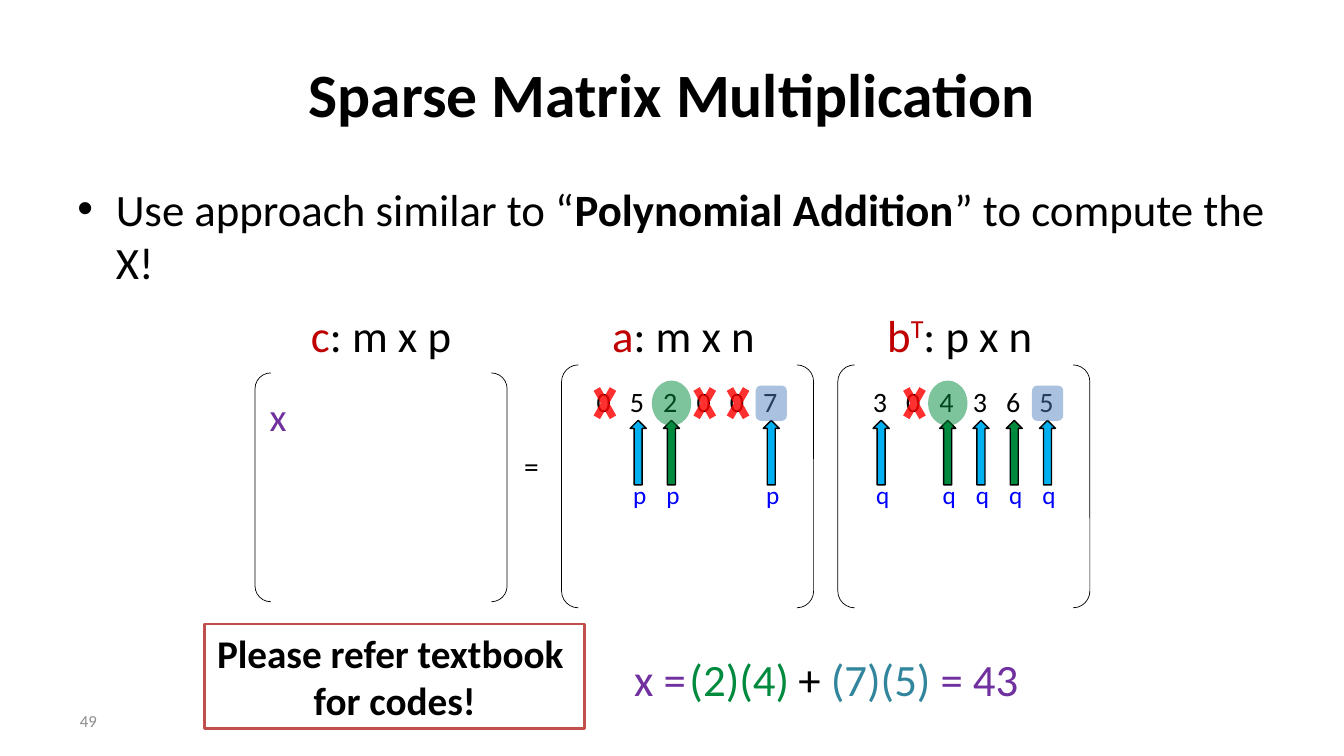
from lxml.etree import SubElement
from pptx import Presentation
from pptx.dml.color import RGBColor
from pptx.enum.shapes import MSO_SHAPE
from pptx.enum.text import MSO_ANCHOR, PP_ALIGN
from pptx.oxml.ns import qn
from pptx.util import Inches, Pt

THEME = {
    "font": "Calibri",
    "black": "000000", "white": "FFFFFF", "grey": "8C8C8C",
    "name": "C00000", "result": "7030A0", "first": "008A3E", "second": "31859C",
    "cross": "FF0000", "tile": "4F81BD", "arrow": "00B0F0", "index": "0000FF",
    "frame": "C0504D",
    "title": 44, "body": 32, "note": 28, "digit": 20, "equals": 21,
    "label": 18, "number": 12,
}

deck = Presentation()
deck.slide_width, deck.slide_height = Inches(13.33), Inches(7.5)
page = deck.slides.add_slide(deck.slide_layouts[6])


def add_part(kind, left, top, width, height, fill=None, opacity=100,
             line=None, weight=1, corner=None):
    """Add a preset shape, or a text box when kind is None."""
    area = [Inches(length) for length in (left, top, width, height)]
    if kind is None:
        return page.shapes.add_textbox(*area)
    shape = page.shapes.add_shape(kind, *area)
    shape.shadow.inherit = False
    if corner is not None:
        shape.adjustments[0] = corner
    if fill:
        shape.fill.solid()
        shape.fill.fore_color.rgb = RGBColor.from_string(THEME[fill])
        color = shape.fill._xPr.find(qn("a:solidFill"))[0]
        if opacity < 100:
            SubElement(color, qn("a:alpha"), val=str(opacity * 1000))
    else:
        shape.fill.background()
    if line:
        shape.line.color.rgb = RGBColor.from_string(THEME[line])
        shape.line.width = Pt(weight)
    else:
        shape.line.fill.background()
    return shape


def write(box, *spans, size="body", align=PP_ALIGN.LEFT, anchor=MSO_ANCHOR.TOP,
          wrap=True, margins=(0.1, 0.05)):
    """Write (text, colour, style) spans as one paragraph and return it."""
    frame = box.text_frame
    frame.word_wrap, frame.vertical_anchor = wrap, anchor
    frame.margin_left = frame.margin_right = Inches(margins[0])
    frame.margin_top = frame.margin_bottom = Inches(margins[1])
    para = frame.paragraphs[0]
    para.alignment = align
    for text, color, style in spans:
        if text == "\n":
            para.add_line_break()
            continue
        span = para.add_run()
        span.text = text
        span.font.name, span.font.size = THEME["font"], Pt(THEME[size])
        span.font.color.rgb = RGBColor.from_string(THEME[color])
        span.font.bold = style == "bold"
        if style == "super":
            span._r.get_or_add_rPr().set("baseline", "30000")
    return para


# Title and bullet
CENTER, MIDDLE = PP_ALIGN.CENTER, MSO_ANCHOR.MIDDLE
write(add_part(None, 0.67, 0.3, 12, 1.25),
      ("Sparse Matrix Multiplication", "black", "bold"),
      size="title", align=CENTER, anchor=MIDDLE)
bullet = write(add_part(None, 0.67, 1.75, 12, 4.95),
               ("Use approach similar to “", "black", ""),
               ("Polynomial Addition", "black", "bold"),
               ("” to compute the X!", "black", ""))
bullet.space_before = Pt(0.2 * THEME["body"])
bullet_format = bullet._p.get_or_add_pPr()
bullet_format.set("marL", str(Inches(0.38)))
bullet_format.set("indent", str(-Inches(0.38)))
SubElement(bullet_format, qn("a:buFont"), typeface="Arial")
SubElement(bullet_format, qn("a:buChar"), char="•")

# Matrices: six digit columns at an equal pitch inside a bracket pair
BRACKET, BRACKET_TOP, ROW_MIDDLE = 2.5, 3.62, 4.0
PITCH, FIRST_COLUMN = 0.33, 0.43
bracket_style = dict(line="black", weight=0.5, corner=0.069)
product = add_part(MSO_SHAPE.DOUBLE_BRACKET, 2.53, 3.7, BRACKET, 2.27, **bracket_style)
write(product, ("x", "result", ""), size="note", margins=(0.1, 0.15))
write(add_part(None, 5.1, 4.4, 0.39, 0.47), ("=", "black", ""), size="equals")

matrices = [
    dict(left=5.57, digits="052007", crosses=[0, 3, 4], index="p",
         arrows={1: "arrow", 2: "first", 5: "arrow"}),
    dict(left=8.31, digits="304365", crosses=[1], index="q",
         arrows={0: "arrow", 2: "first", 3: "arrow", 4: "first", 5: "arrow"}),
]
for matrix in matrices:
    bracket = add_part(MSO_SHAPE.DOUBLE_BRACKET, matrix["left"], BRACKET_TOP,
                       BRACKET, 2.41, **bracket_style)
    row = write(bracket, ("\t".join(matrix["digits"]), "black", ""),
                size="digit", margins=(0.3, 0.15))
    bracket.text_frame.margin_right = 0
    stops = SubElement(row._p.get_or_add_pPr(), qn("a:tabLst"))
    for column in range(1, len(matrix["digits"])):
        SubElement(stops, qn("a:tab"), pos=str(Inches(column * PITCH)), algn="l")

    centers = [matrix["left"] + FIRST_COLUMN + column * PITCH for column in range(6)]
    # Crossed-out zeros
    for column in matrix["crosses"]:
        add_part(MSO_SHAPE.MATH_MULTIPLY, centers[column] - 0.155, ROW_MIDDLE - 0.27,
                 0.31, 0.54, fill="cross", opacity=81)
    # Index arrows with their labels
    for column, color in matrix["arrows"].items():
        add_part(MSO_SHAPE.UP_ARROW, centers[column] - 0.08, 4.17, 0.16, 0.64,
                 fill=color, line="black")
        write(add_part(None, centers[column] - 0.15, 4.71, 0.39, 0.4),
              (matrix["index"], "index", ""), size="label")
    # Matching pairs
    add_part(MSO_SHAPE.OVAL, centers[2] - 0.195, ROW_MIDDLE - 0.225, 0.39, 0.45,
             fill="first", opacity=51)
    add_part(MSO_SHAPE.ROUNDED_RECTANGLE, centers[5] - 0.155, ROW_MIDDLE - 0.175,
             0.31, 0.35, fill="tile", opacity=48, corner=0.167)

# Matrix headings
headings = [
    (2.53, [("c", "name", ""), (": m x p", "black", "")]),
    (5.53, [("a", "name", ""), (": m x n", "black", "")]),
    (8.27, [("b", "name", ""), ("T", "name", "super"), (": p x n", "black", "")]),
]
for left, spans in headings:
    write(add_part(None, left, 3, BRACKET, 0.64), *spans, align=CENTER)

# Worked result
terms = [
    (6.19, 0.72, [("x =", "result", "")]),
    (6.74, 1.2, [("(2)(4)", "first", "")]),
    (7.82, 1.53, [("+ ", "black", ""), ("(7)(5)", "second", "")]),
    (9.23, 0.98, [("= 43", "result", "")]),
]
for left, width, spans in terms:
    write(add_part(None, left, 6.42, width, 0.64), *spans, wrap=False)

# Textbook note and slide number
note = add_part(MSO_SHAPE.RECTANGLE, 2.03, 6.19, 3.77, 1.04,
                fill="white", line="frame", weight=2)
write(note, ("Please refer textbook ", "black", "bold"), ("\n", "black", ""),
      ("for codes!", "black", "bold"), size="note", align=CENTER, wrap=False)
write(add_part(None, 0.4, 6.95, 0.66, 0.4), ("49", "grey", ""),
      size="number", align=PP_ALIGN.RIGHT, anchor=MIDDLE)

deck.save("out.pptx")
